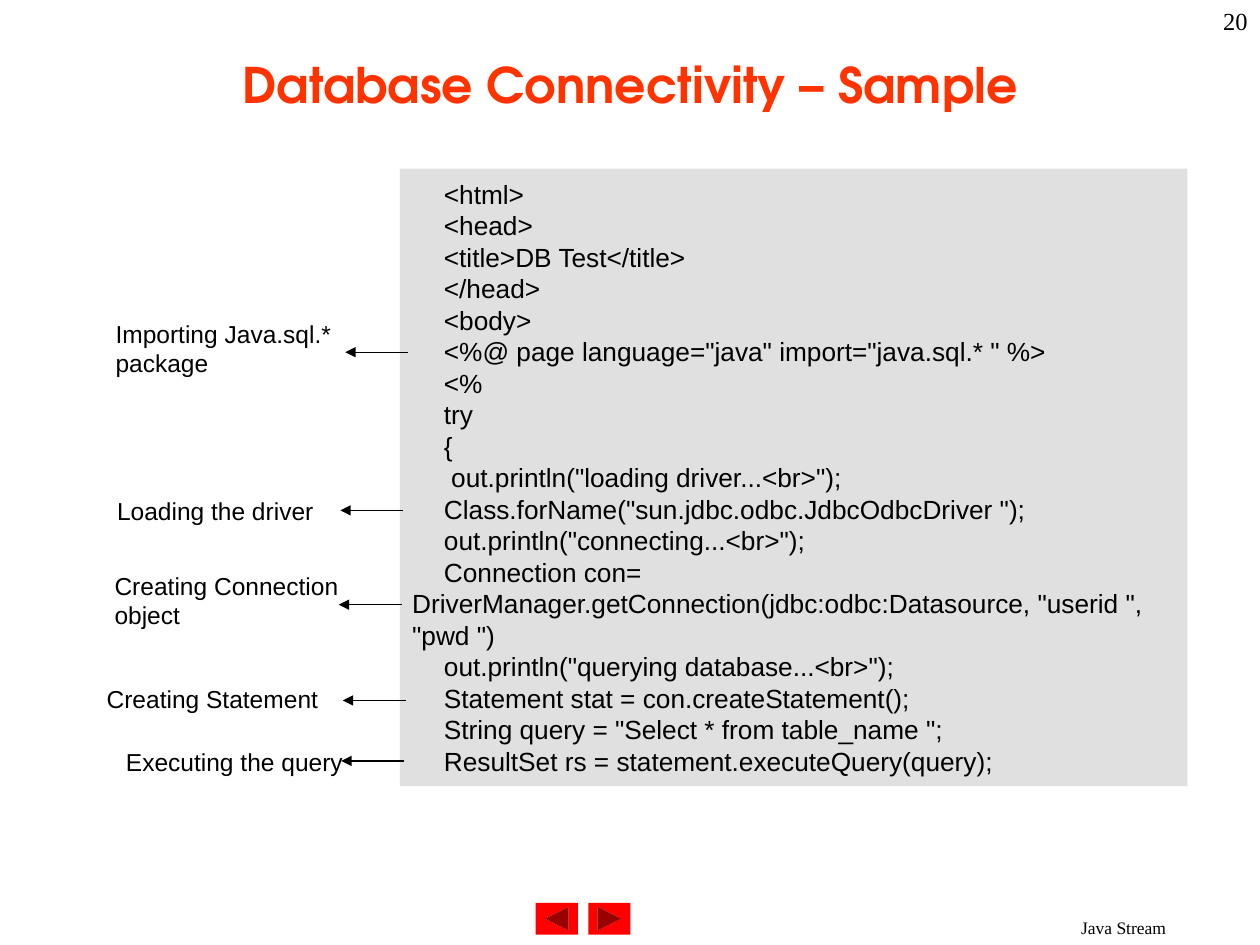
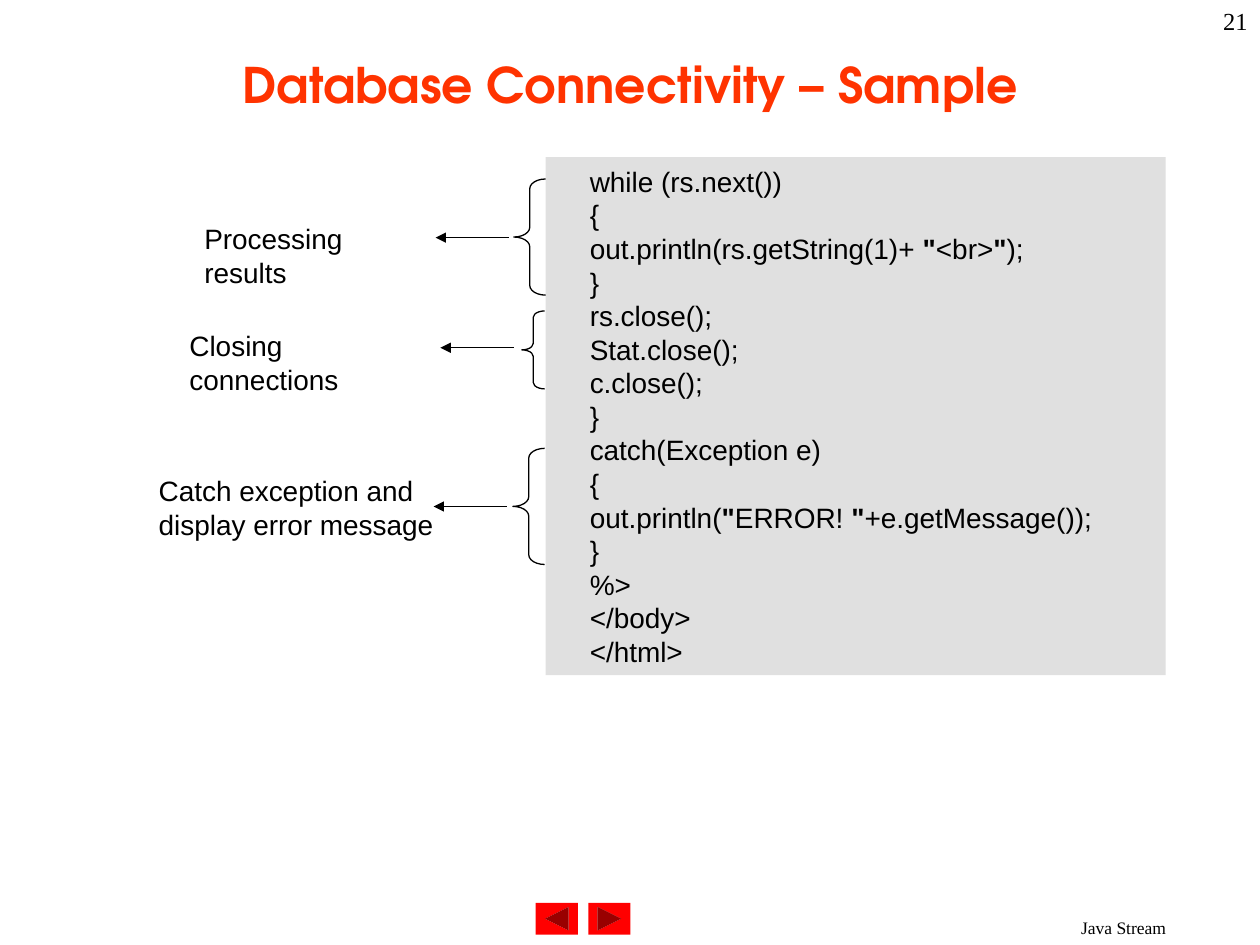
from dataclasses import dataclass
from itertools import chain

from lxml.etree import SubElement
from pptx import Presentation
from pptx.dml.color import RGBColor
from pptx.enum.shapes import MSO_CONNECTOR, MSO_SHAPE
from pptx.enum.text import MSO_ANCHOR, PP_ALIGN
from pptx.oxml.ns import qn
from pptx.util import Cm, Pt


@dataclass(frozen=True)
class Theme:
    title_color: RGBColor = RGBColor(0xFF, 0x33, 0x00)
    ink: RGBColor = RGBColor(0x00, 0x00, 0x00)
    code_fill: RGBColor = RGBColor(0xE0, 0xE0, 0xE0)
    button_fill: RGBColor = RGBColor(0xFF, 0x00, 0x00)
    title_font: str = "TeX Gyre Adventor"
    body_font: str = "Arial"
    margin_font: str = "Times New Roman"
    title_size: int = 28
    page_size: int = 14
    footer_size: int = 10
    line_width: float = 0.75


THEME = Theme()
TITLE_ONLY = 5
TITLE = "Database Connectivity – Sample"
FOOTER = "Java Stream"

CONNECT_CODE = """<html>
<head>
<title>DB Test</title>
</head>
<body>
<%@ page language="java" import="java.sql.* " %>
<%
try
{
 out.println("loading driver...<br>");
Class.forName("sun.jdbc.odbc.JdbcOdbcDriver ");
out.println("connecting...<br>");
Connection con= DriverManager.getConnection(jdbc:odbc:Datasource, "userid ", "pwd ")
out.println("querying database...<br>");
Statement stat = con.createStatement();
String query = "Select * from table_name ";
ResultSet rs = statement.executeQuery(query);"""

RESULT_CODE = """while (rs.next())
{
out.println(rs.getString(1)+ "<br>");
}
rs.close();
Stat.close();
c.close();
}
catch(Exception e)
{
out.println("ERROR! "+e.getMessage());
}
%>
</body>
</html>"""

# Note, its box (left, top, width, height), arrow start (x, y)
CONNECT_NOTES = [
    ("Importing Java.sql.* package", (2.08, 6.3, 5.08, 1.45), (8.23, 7.1)),
    ("Loading the driver", (2.11, 9.88, 4.55, 0.84), (8.13, 10.29)),
    ("Creating Connection object", (2.06, 11.38, 5.08, 1.45), (8.1, 12.19)),
    ("Creating Statement", (1.9, 13.67, 5.08, 0.84), (8.18, 14.12)),
    ("Executing the query", (2.29, 14.94, 5.08, 0.84), (8.15, 15.34)),
]
RESULT_NOTES = [
    ("Processing results", (3.87, 4.34, 5, 0.94), (10.26, 4.79)),
    ("Closing connections", (3.57, 6.5, 5.4, 0.94), (10.36, 7.01)),
    ("Catch exception and display error message",
     (2.95, 9.42, 6.56, 1.63), (10.22, 10.21)),
]
# Brace box, curvature
RESULT_BRACES = [
    ((10.36, 3.61, 0.64, 2.34), 0.306),
    ((10.52, 6.27, 0.46, 1.57), 0.282),
    ((10.34, 9.04, 0.64, 2.34), 0.306),
]


def lengths(box):
    return [Cm(value) for value in box]


def add_run(paragraph, text, font, size, color=THEME.ink, bold=False):
    run = paragraph.add_run()
    run.text = text
    for name, value in {"name": font, "size": Pt(size), "bold": bold}.items():
        setattr(run.font, name, value)
    run.font.color.rgb = color


def add_label(slide, text, box, font, size, align=PP_ALIGN.LEFT):
    label = slide.shapes.add_textbox(*lengths(box)).text_frame
    label.word_wrap = True
    label.paragraphs[0].alignment = align
    add_run(label.paragraphs[0], text, font, size)


def add_filled(slide, preset, box, color):
    shape = slide.shapes.add_shape(preset, *lengths(box))
    shape.shadow.inherit = False
    shape.fill.solid()
    shape.fill.fore_color.rgb = color
    shape.line.fill.background()
    return shape


def draw_outline(line):
    line.color.rgb = THEME.ink
    line.width = Pt(THEME.line_width)


def add_title(slide):
    title = slide.shapes.title
    placement = dict(zip(("left", "top", "width", "height"),
                         lengths((1.9, 0.2, 21.6, 2.97))))
    for name, value in placement.items():
        setattr(title, name, value)
    title.text_frame.vertical_anchor = MSO_ANCHOR.MIDDLE
    heading = title.text_frame.paragraphs[0]
    heading.alignment = PP_ALIGN.CENTER
    add_run(heading, TITLE, THEME.title_font, THEME.title_size,
            THEME.title_color, bold=True)


def add_margins(slide, page):
    """Add the navigation buttons, the footer and the page number."""
    for left, turn in ((11.86, 0), (10.8, 180)):
        button = add_filled(slide, MSO_SHAPE.ACTION_BUTTON_FORWARD_OR_NEXT,
                            (left, 18.2, 0.85, 0.64), THEME.button_fill)
        button.rotation = turn
    add_label(slide, FOOTER, (19.9, 18.36, 5.5, 0.68), THEME.margin_font,
              THEME.footer_size, PP_ALIGN.CENTER)
    add_label(slide, str(page), (20.12, 0, 5.28, 1.27), THEME.margin_font,
              THEME.page_size, PP_ALIGN.RIGHT)


def add_code(slide, code, box, size, bold_quotes=False):
    panel = add_filled(slide, MSO_SHAPE.RECTANGLE, box, THEME.code_fill)
    frame = panel.text_frame
    frame.word_wrap = True
    frame.vertical_anchor = MSO_ANCHOR.MIDDLE
    for number, line in enumerate(code.splitlines()):
        paragraph = frame.add_paragraph() if number else frame.paragraphs[0]
        paragraph.alignment = PP_ALIGN.LEFT
        properties = paragraph._p.get_or_add_pPr()
        for name, value in {"marL": 0, "indent": Cm(0.64)}.items():
            properties.set(name, str(value))
        if bold_quotes:
            pieces = list(chain.from_iterable(
                ('"', part) for part in line.split('"')))[1:]
        else:
            pieces = [line]
        for piece in filter(None, pieces):
            add_run(paragraph, piece, THEME.body_font, size,
                    bold=bold_quotes and piece == '"')


def add_left_arrow(slide, start, length):
    x, y = start
    arrow = slide.shapes.add_connector(
        MSO_CONNECTOR.STRAIGHT, *lengths((x, y, x - length, y)))
    draw_outline(arrow.line)
    SubElement(arrow.line._get_or_add_ln(), qn("a:tailEnd"), type="triangle")
    SubElement(arrow._element.spPr, qn("a:effectLst"))


def add_brace(slide, box, curvature):
    brace = slide.shapes.add_shape(MSO_SHAPE.LEFT_BRACE, *lengths(box))
    brace.shadow.inherit = False
    brace.fill.background()
    brace.adjustments[0] = curvature
    draw_outline(brace.line)


def add_notes(slide, notes, size, arrow_length):
    for text, box, arrow_start in notes:
        add_left_arrow(slide, arrow_start, arrow_length)
        add_label(slide, text, box, THEME.body_font, size)


def add_sample_slide(deck, page):
    slide = deck.slides.add_slide(deck.slide_layouts[TITLE_ONLY])
    add_margins(slide, page)
    add_title(slide)
    return slide


def main():
    deck = Presentation()
    deck.slide_width, deck.slide_height = Cm(25.4), Cm(19.05)

    connecting = add_sample_slide(deck, 20)
    add_code(connecting, CONNECT_CODE, (8.06, 3.4, 15.88, 12.45), 15)
    add_notes(connecting, CONNECT_NOTES, 14, 1.27)

    results = add_sample_slide(deck, 21)
    add_code(results, RESULT_CODE, (11, 3.17, 12.5, 10.44), 16,
             bold_quotes=True)
    for box, curvature in RESULT_BRACES:
        add_brace(results, box, curvature)
    add_notes(results, RESULT_NOTES, 16, 1.48)

    deck.save("out.pptx")


if __name__ == "__main__":
    main()
